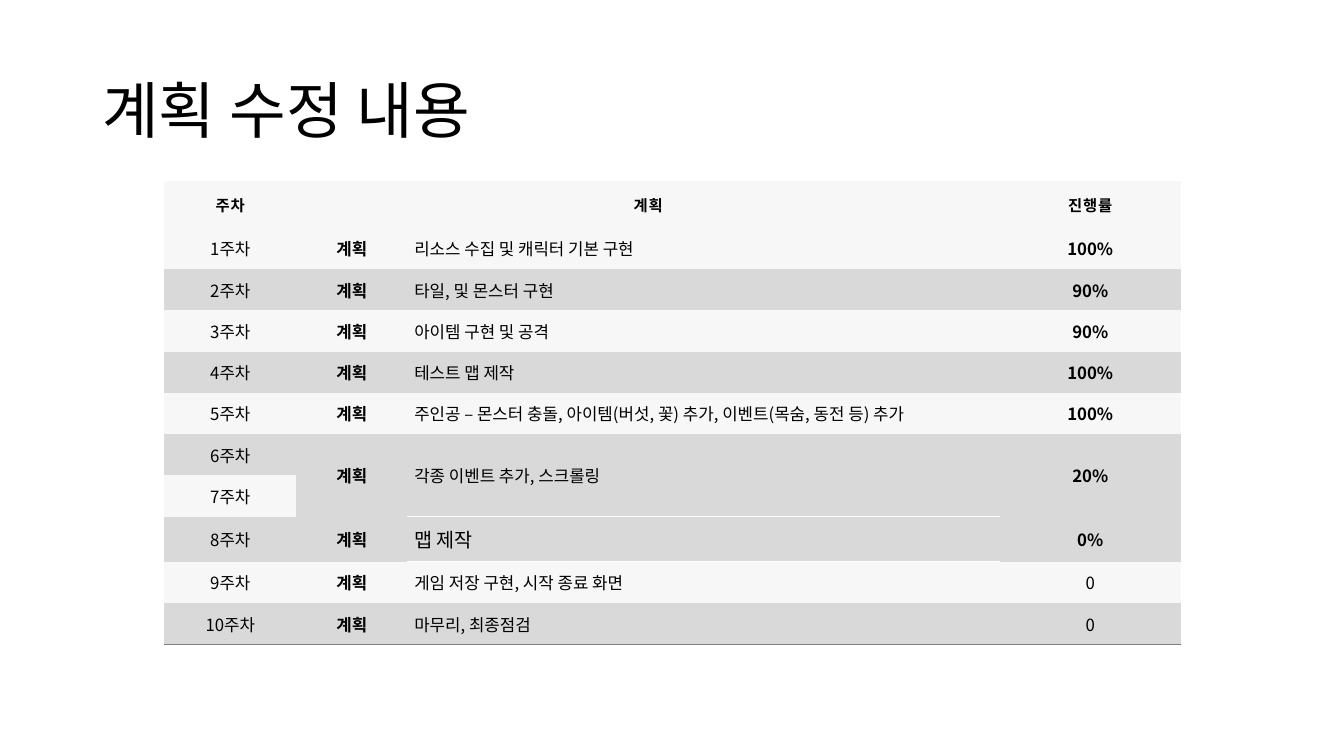
import pptx
import pptx.util
import pptx.dml.color
import pptx.enum.text
import pptx.oxml.ns
import lxml.etree

Cm = pptx.util.Cm
Pt = pptx.util.Pt
align = pptx.enum.text.PP_ALIGN
middle = pptx.enum.text.MSO_ANCHOR.MIDDLE
qn = pptx.oxml.ns.qn

FONT = "Noto Sans CJK KR"
NO_STYLE = "{2D5ABB26-0587-4C30-8999-92F81FD0307C}"
COLOURS = {"text": "000000", "light": "F7F7F7", "dark": "D9D9D9", "divider": "FFFFFF", "base": "808080"}


def add_span(para, text, size, bold=False):
    span = para.add_run()
    span.text = text
    span.font.size = Pt(size)
    span.font.bold = bold
    span.font.color.rgb = pptx.dml.color.RGBColor.from_string(COLOURS["text"])
    span.font.name = FONT
    lxml.etree.SubElement(span.font._element, qn("a:ea"), typeface=FONT)
    return span


def add_border(cell, side, colour):
    line = lxml.etree.Element(qn("a:" + side), w=str(Pt(1)))
    fill = lxml.etree.SubElement(line, qn("a:solidFill"))
    lxml.etree.SubElement(fill, qn("a:srgbClr"), val=COLOURS[colour])
    cell._tc.get_or_add_tcPr().insert(0, line)


deck = pptx.Presentation()
deck.slide_width = Cm(33.87)
deck.slide_height = Cm(19.05)
page = deck.slides.add_slide(deck.slide_layouts[6])

title = page.shapes.add_textbox(Cm(2.33), Cm(1.01), Cm(29.21), Cm(3.68)).text_frame
title.word_wrap = True
title.vertical_anchor = middle
title.paragraphs[0].line_spacing = 0.9
add_span(title.paragraphs[0], "계획 수정 내용", 44)

plans = [
    ("리소스 수집 및 캐릭터 기본 구현", "100%"),
    ("타일, 및 몬스터 구현", "90%"),
    ("아이템 구현 및 공격", "90%"),
    ("테스트 맵 제작", "100%"),
    ("주인공 – 몬스터 충돌, 아이템(버섯, 꽃) 추가, 이벤트(목숨, 동전 등) 추가", "100%"),
    ("각종 이벤트 추가, 스크롤링", "20%"),
    None,
    ("맵 제작", "0%"),
    ("게임 저장 구현, 시작 종료 화면", "0"),
    ("마무리, 최종점검", "0"),
]
rows = [("주차", "계획", "", "진행률")]
for week, plan in enumerate(plans, 1):
    rows.append((f"{week}주차", "계획", *plan) if plan else (f"{week}주차", "", "", ""))

widths = [3.33, 2.79, 14.94, 4.55]
heights = [1.19] + [1.04] * 7 + [1.14] + [1.04] * 2
frame = page.shapes.add_table(len(rows), len(widths), Cm(4.14), Cm(4.55), Cm(sum(widths)), Cm(sum(heights)))
schedule = frame.table
schedule.first_row = False
schedule.horz_banding = False
schedule._tbl.tblPr.find(qn("a:tableStyleId")).text = NO_STYLE
for column, width in zip(schedule.columns, widths):
    column.width = Cm(width)
for row, height in zip(schedule.rows, heights):
    row.height = Cm(height)

for r, texts in enumerate(rows):
    header = r == 0
    for c, text in enumerate(texts):
        cell = schedule.cell(r, c)
        shade = "light" if header or r % 2 else "dark"
        cell.fill.solid()
        cell.fill.fore_color.rgb = pptx.dml.color.RGBColor.from_string(COLOURS[shade])
        cell.vertical_anchor = middle
        inset = Cm(0.28 if header else 0.18)
        cell.margin_left = cell.margin_right = cell.margin_top = cell.margin_bottom = inset
        if not text:
            continue
        para = cell.text_frame.paragraphs[0]
        para.alignment = align.LEFT if c == 2 else align.CENTER
        size = 11 if header else 14 if text == "맵 제작" else 12
        bold = header or c == 1 or text.endswith("%")
        span = add_span(para, text, size, bold)
        if header:
            span.font._element.set("spc", "60")

schedule.cell(0, 1).merge(schedule.cell(0, 2))
for c in range(1, 4):
    schedule.cell(6, c).merge(schedule.cell(7, c))

add_border(schedule.cell(6, 2), "lnB", "divider")
add_border(schedule.cell(8, 2), "lnT", "divider")
for c in range(len(widths)):
    add_border(schedule.cell(10, c), "lnB", "base")

deck.save("out.pptx")
